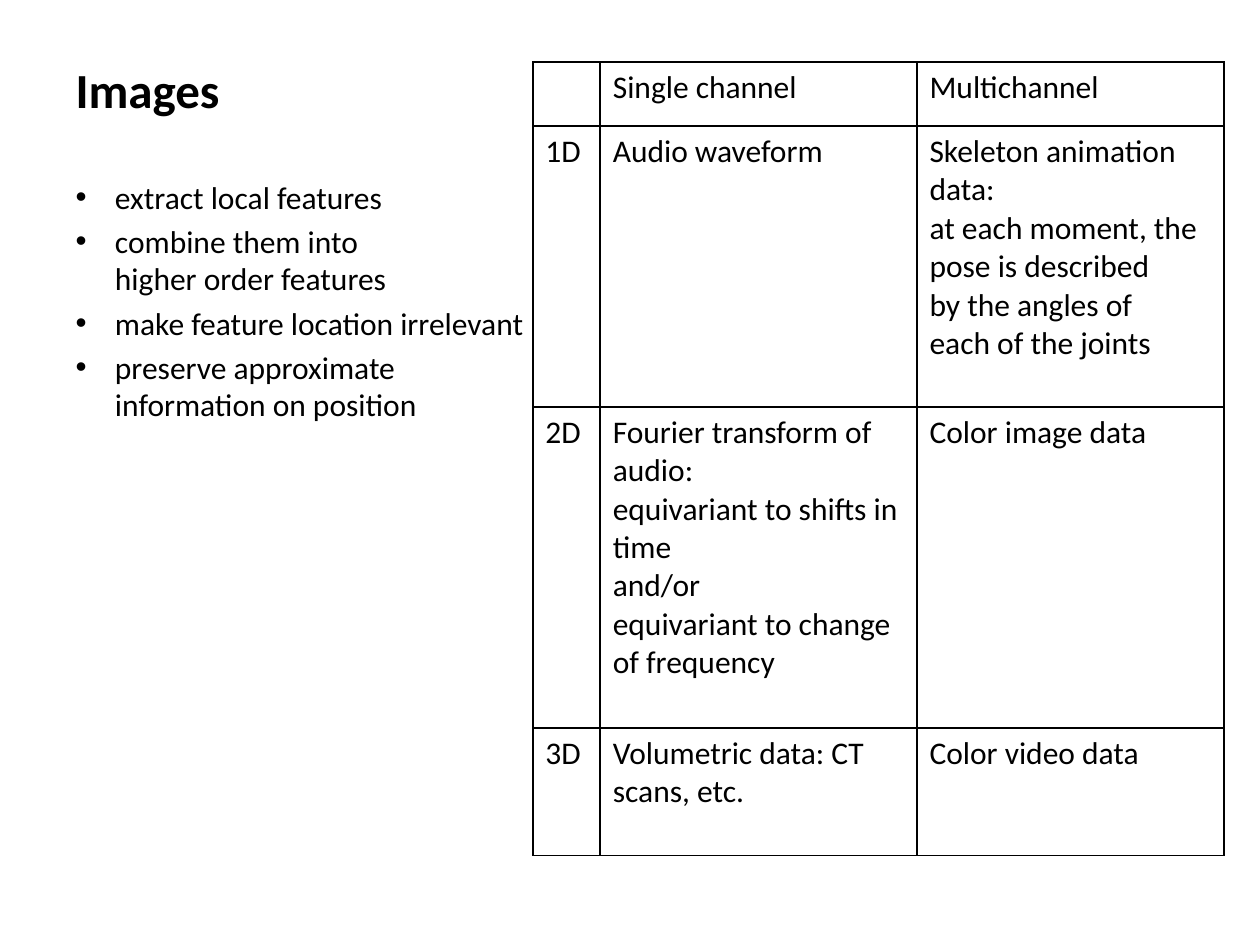
from dataclasses import dataclass
from lxml.etree import SubElement
from pptx import Presentation
from pptx.dml.color import RGBColor
from pptx.enum.text import MSO_ANCHOR, MSO_AUTO_SIZE, PP_ALIGN
from pptx.oxml.ns import qn
from pptx.util import Pt


@dataclass(frozen=True)
class Theme:
    font: str = "Calibri"
    ink: str = "000000"
    paper: str = "FFFFFF"
    head: float = 28
    text: float = 18
    rule: float = 1


def write(frame, paras, theme, size, bold=False, gap=0, bullet=None, indent=0):
    """Fill a frame with paragraphs; a vertical tab is a line break."""
    frame.word_wrap = True
    for i, words in enumerate(paras):
        para = frame.paragraphs[0] if i == 0 else frame.add_paragraph()
        para.text = words
        para.alignment = PP_ALIGN.LEFT
        para.space_before = Pt(gap if i else 0)
        if bullet:
            props = para._p.get_or_add_pPr()
            props.set("marL", str(Pt(indent)))
            props.set("indent", str(-Pt(indent)))
            SubElement(props, qn("a:buFont"), typeface="Arial")
            SubElement(props, qn("a:buChar"), char=bullet)
        for run in para.runs:
            run.font.name = theme.font
            run.font.size = Pt(size)
            run.font.bold = bold
            run.font.color.rgb = RGBColor.from_string(theme.ink)


class Deck:
    """Holds the theme and the current slide."""

    def __init__(self, theme):
        self.theme = theme
        self.file = Presentation()
        self.file.slide_width, self.file.slide_height = Pt(720), Pt(540)
        self.slide = self.file.slides.add_slide(self.file.slide_layouts[1])
        fill = self.slide.background.fill
        fill.solid()
        fill.fore_color.rgb = RGBColor.from_string(theme.paper)

    def place(self, shape, box):
        shape.left, shape.top, shape.width, shape.height = map(Pt, box)
        shape.text_frame.auto_size = MSO_AUTO_SIZE.NONE
        return shape.text_frame

    def title(self, words, box):
        frame = self.place(self.slide.shapes.title, box)
        frame.vertical_anchor = MSO_ANCHOR.BOTTOM
        write(frame, [words], self.theme, self.theme.head, bold=True)

    def bullets(self, items, box, inset):
        frame = self.place(self.slide.placeholders[1], box)
        frame.vertical_anchor = MSO_ANCHOR.TOP
        frame.margin_top = Pt(inset)
        size = self.theme.text
        write(frame, items, self.theme, size, gap=size * 0.2, bullet="•", indent=22.5)

    def border(self, cell):
        props = cell._tc.get_or_add_tcPr()
        for side in ("lnL", "lnR", "lnT", "lnB"):
            line = SubElement(props, qn(f"a:{side}"), w=str(Pt(self.theme.rule)))
            fill = SubElement(line, qn("a:solidFill"))
            SubElement(fill, qn("a:srgbClr"), val=self.theme.ink)

    def table(self, rows, left, top, widths, heights):
        frame = self.slide.shapes.add_table(
            len(rows), len(widths), Pt(left), Pt(top), Pt(sum(widths)), Pt(sum(heights)))
        grid = frame.table
        grid.first_row = grid.horz_banding = False
        for col, width in zip(grid.columns, widths):
            col.width = Pt(width)
        for row, height, texts in zip(grid.rows, heights, rows):
            row.height = Pt(height)
            for cell, words in zip(row.cells, texts):
                self.border(cell)
                cell.fill.background()
                write(cell.text_frame, words.split("\n"), self.theme, self.theme.text)

    def save(self):
        self.file.save("out.pptx")


def main():
    deck = Deck(Theme())
    deck.title("Images", (36, 21.5, 237, 50))
    deck.bullets([
        "extract local features",
        "combine them into\vhigher order features",
        "make feature location irrelevant",
        "preserve approximate\vinformation on position",
    ], (36, 71.5, 301.5, 411), inset=30)
    deck.table([
        ("", "Single channel", "Multichannel"),
        ("1D", "Audio waveform",
         "Skeleton animation data:\vat each moment, the\n"
         "pose is described\nby the angles of\neach of the joints"),
        ("2D",
         "Fourier transform of audio:\vequivariant to shifts in time\v"
         "and/or\vequivariant to change of frequency",
         "Color image data"),
        ("3D", "Volumetric data: CT scans, etc.", "Color video data"),
    ], 304.5, 35.5, widths=(38.5, 181, 175.5), heights=(36.5, 160.5, 183.5, 73))
    deck.save()


if __name__ == "__main__":
    main()
